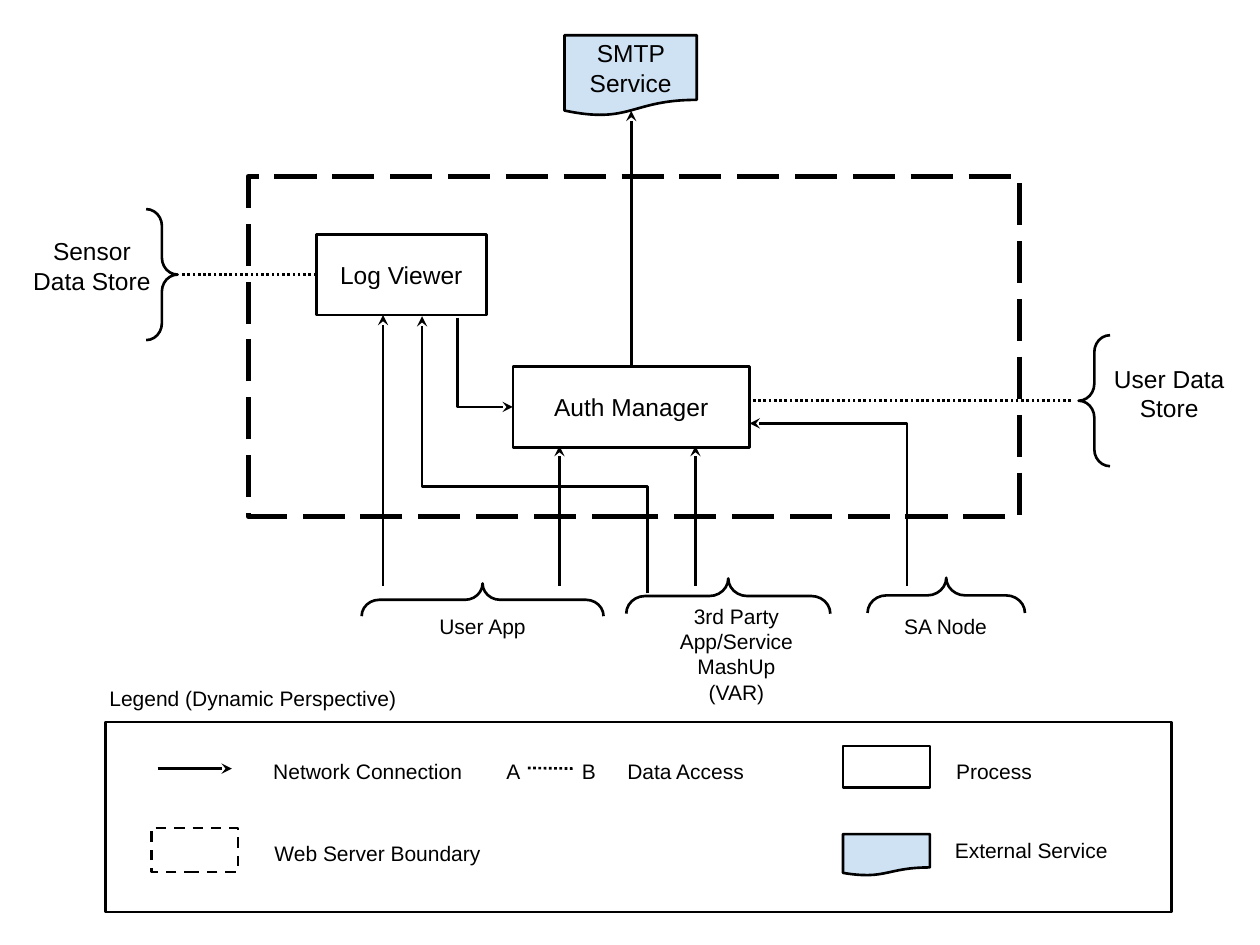
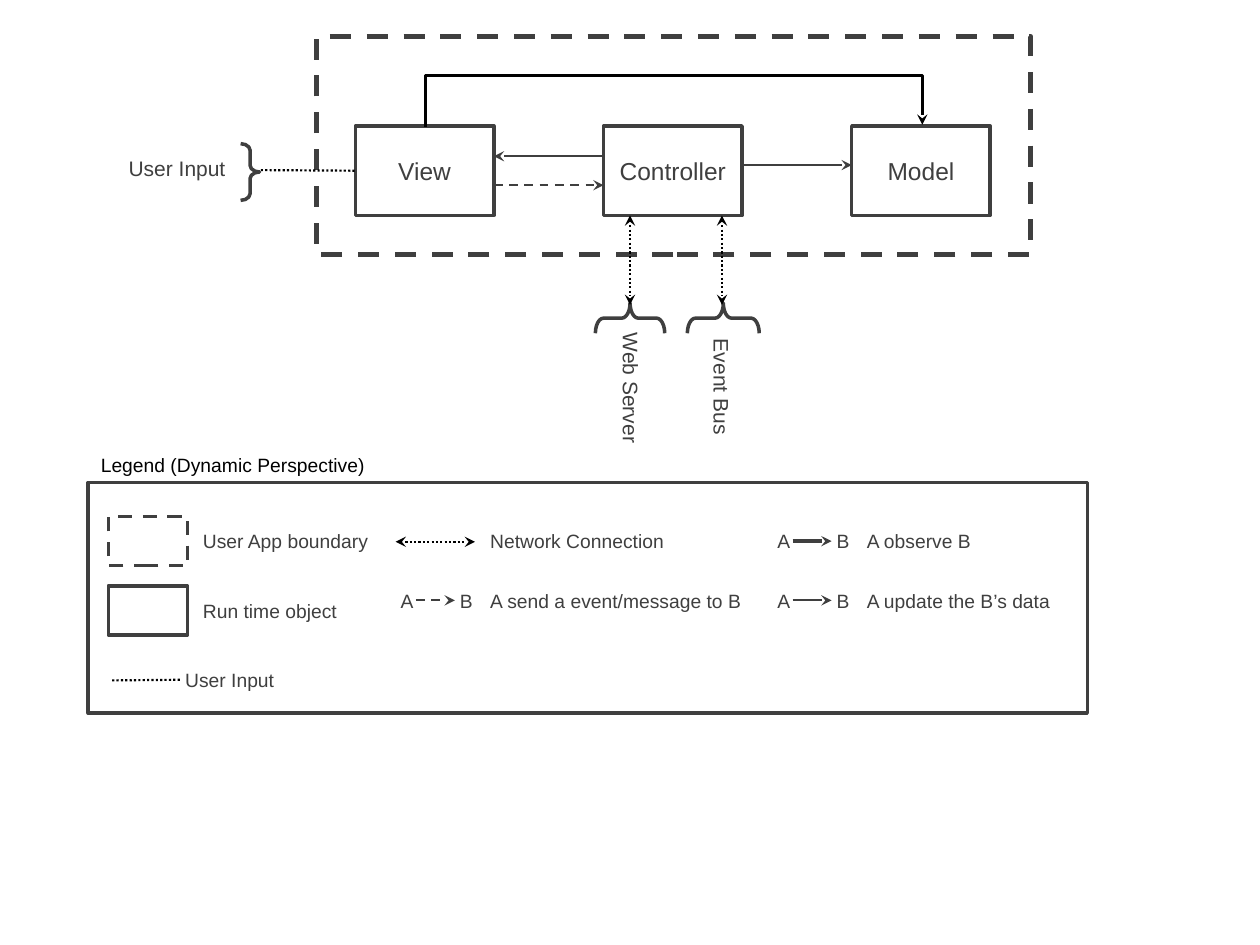
from lxml import etree
from pptx import Presentation
from pptx.dml.color import RGBColor
from pptx.enum.dml import MSO_LINE
from pptx.enum.shapes import MSO_CONNECTOR, MSO_SHAPE
from pptx.enum.text import MSO_ANCHOR, PP_ALIGN
from pptx.oxml.ns import qn
from pptx.util import Emu, Pt

PX = 9144
COLORS = {"black": "000000", "gray": "3F3F3F", "white": "FFFFFF", "sky": "CFE2F3"}
FONT = "Arial"
RECT, DOC = MSO_SHAPE.RECTANGLE, MSO_SHAPE.FLOWCHART_DOCUMENT
LEFT_BRACE, RIGHT_BRACE = MSO_SHAPE.LEFT_BRACE, MSO_SHAPE.RIGHT_BRACE
STRAIGHT, ELBOW = MSO_CONNECTOR.STRAIGHT, MSO_CONNECTOR.ELBOW
DASH, LONG_DASH, DOT = MSO_LINE.DASH, MSO_LINE.LONG_DASH, MSO_LINE.ROUND_DOT
LEFT, CENTER, RIGHT = PP_ALIGN.LEFT, PP_ALIGN.CENTER, PP_ALIGN.RIGHT
TOP, MIDDLE = MSO_ANCHOR.TOP, MSO_ANCHOR.MIDDLE
SIDE_TOP, SIDE_LEFT, SIDE_RIGHT = 0, 1, 3


def emu(*lengths):
    return [Emu(int(n * PX)) for n in lengths]


def rgb(name):
    return RGBColor.from_string(COLORS[name])


class Diagram:
    def __init__(self, prs, ink, inset, outline, stroke, brace_bend):
        self.slide = prs.slides.add_slide(prs.slide_layouts[6])
        self.shapes = self.slide.shapes
        self.ink, self.inset = ink, inset
        self.outline, self.stroke = outline, stroke
        self.brace_bend = brace_bend

    def put_text(self, sp, text, size, align, anchor, color=None):
        tf = sp.text_frame
        tf.word_wrap = True
        tf.vertical_anchor = anchor
        tf.margin_left, tf.margin_top, tf.margin_right, tf.margin_bottom = emu(*[self.inset] * 4)
        tf.text = text
        for p in tf.paragraphs:
            p.alignment = align
            for r in p.runs:
                r.font.name, r.font.size = FONT, Pt(size)
                r.font.color.rgb = rgb(color or self.ink)

    def pen(self, line, color, width, dash=None):
        line.color.rgb = rgb(color)
        line.width = Pt(width)
        if dash:
            line.dash_style = dash

    def box(self, at, text="", kind=RECT, fill="white", width=None, dash=None):
        sp = self.shapes.add_shape(kind, *emu(*at))
        sp.shadow.inherit = False
        if fill:
            sp.fill.solid()
            sp.fill.fore_color.rgb = rgb(fill)
        else:
            sp.fill.background()
        self.pen(sp.line, self.ink, width or self.outline, dash)
        if text:
            self.put_text(sp, text, 14, CENTER, MIDDLE)
        return sp

    def brace(self, at, kind=RIGHT_BRACE, rot=0):
        sp = self.box(at, kind=kind, fill=None)
        sp.adjustments[0] = self.brace_bend
        sp.rotation = rot

    def label(self, at, text, size, align=LEFT, anchor=MIDDLE, rot=0, color=None):
        sp = self.shapes.add_textbox(*emu(*at))
        sp.rotation = rot
        self.put_text(sp, text, size, align, anchor, color)
        return sp

    def finish(self, cxn, color, width, dash, ends):
        self.pen(cxn.line, color or self.ink, width or self.stroke, dash)
        sp_pr = cxn._element.spPr
        ln = sp_pr.find(qn("a:ln"))
        for end in ends:
            etree.SubElement(ln, qn(f"a:{end}End"), type="stealth")
        etree.SubElement(sp_pr, qn("a:effectLst"))

    def line(self, start, stop, ends=("tail",), dash=None, color=None, width=None,
             begin=None, end=None):
        cxn = self.shapes.add_connector(STRAIGHT, *emu(*start, *stop))
        if begin:
            cxn.begin_connect(*begin)
        if end:
            cxn.end_connect(*end)
        self.finish(cxn, color, width, dash, ends)

    def elbow(self, start, stop, bend=None, color=None, width=None):
        (x1, y1), (x2, y2) = start, stop
        cx, cy = (x1 + x2) / 2, (y1 + y2) / 2
        w, h = abs(y2 - y1), abs(x2 - x1)
        cxn = self.shapes.add_connector(
            ELBOW, *emu(cx - w / 2, cy - h / 2, cx + w / 2, cy + h / 2))
        leftward, upward = x2 < x1, y2 < y1
        xfrm = cxn._element.spPr.find(qn("a:xfrm"))
        xfrm.set("rot", str((90 if leftward else 270) * 60000))
        if leftward == upward:
            xfrm.set("flipH", "1")
        geom = cxn._element.spPr.find(qn("a:prstGeom"))
        if bend is None:
            geom.set("prst", "bentConnector2")
        else:
            ratio = round((bend - y1) / (y2 - y1) * 100000)
            etree.SubElement(geom.find(qn("a:avLst")), qn("a:gd"),
                             name="adj1", fmla=f"val {ratio}")
        self.finish(cxn, color, width, None, ("tail",))


def web_server(prs):
    d = Diagram(prs, "black", 10, 1.5, 1.5, 0.536)
    d.box((197, 140, 612, 270), fill=None, width=3, dash=LONG_DASH)
    auth = d.box((407, 291, 188, 64), "Auth Manager")
    log = d.box((251, 186, 135, 64), "Log Viewer")
    d.box((448, 28, 105, 64), "SMTP Service", DOC, "sky")

    for at, text, size in (
        ((266, 465, 234, 64), "User App", 12),
        ((528, 481, 113, 76), "3rd Party App/Service MashUp\n(VAR)", 12),
        ((698, 465, 105, 64), "SA Node", 12),
        ((16, 179, 114, 64), "Sensor Data Store", 14),
        ((871, 280, 114, 64), "User Data Store", 14),
    ):
        d.label(at, text, size, CENTER)
    for at, rot in (
        ((370, 380, 26, 192), 270),
        ((564, 392, 28, 162), 270),
        ((737, 410, 28, 125), 270),
        ((116, 166, 25, 104), 0),
        ((856, 266, 25, 104), 180),
    ):
        d.brace(at, rot=rot)

    for x, y in ((304, 250), (444, 354), (552, 354)):
        d.line((x, 465), (x, y))
    d.line((501, 291), (501, 88), begin=(auth, SIDE_TOP))
    d.line((251, 218), (144, 218), (), DOT, begin=(log, SIDE_LEFT))
    d.line((850, 318), (595, 318), (), DOT)
    d.elbow((720, 465), (595, 336))
    d.elbow((363, 252), (407, 323))
    d.elbow((514, 471), (335, 251), bend=386)

    d.box((84, 573, 846, 151), fill=None)
    d.box((669, 592, 69, 33))
    d.box((669, 662, 69, 33), kind=DOC, fill="sky")
    d.box((120, 657, 69, 35), dash=DASH)
    d.line((125, 610), (184, 610))
    for x, y, w, text in (
        (77, 534, 258, "Legend (Dynamic Perspective)"),
        (207, 592, 185, "Network Connection"),
        (208, 657, 185, "Web Server Boundary"),
        (452, 592, 27, "B"),
        (488, 592, 185, "Data Access"),
        (749, 592, 84, "Process"),
        (748, 655, 147, "External Service"),
    ):
        d.label((x, y, w, 35), text, 12, anchor=TOP)
    a = d.label((392, 592, 27, 35), "A", 12, anchor=TOP)
    d.line((419, 610), (456, 610), (), DOT, begin=(a, SIDE_RIGHT))


def user_app(prs):
    d = Diagram(prs, "gray", 4, 2, 1.25, 0.27)
    both = ("head", "tail")
    d.box((251, 29, 567, 173), fill=None, width=3, dash=DASH)
    view, _, _ = [d.box((282 + 197 * i, 100, 110, 71), name)
                  for i, name in enumerate(("View", "Controller", "Model"))]
    d.label((73, 114, 110, 39), "User Input", 12, RIGHT)
    d.label((446, 282, 110, 66), "Web Server", 12, rot=90)
    d.label((518, 287, 110, 66), "Event Bus", 12, rot=90)
    d.brace((488, 225, 24, 55), LEFT_BRACE, 90)
    d.brace((562, 224, 24, 57), LEFT_BRACE, 90)
    d.brace_bend = 0.351
    d.brace((191, 114, 15, 45))

    d.line((392, 147), (479, 147), dash=DASH)
    d.line((479, 124), (392, 124))
    d.line((589, 131), (676, 131))
    for x in (500, 573):
        d.line((x, 171), (x, 242), both, DOT, "black")
    d.line((207, 135), (282, 135), (), DOT, "black", end=(view, SIDE_LEFT))
    d.elbow((338, 101), (732, 99), bend=60, color="black", width=1.75)

    d.label((76, 354, 325, 29), "Legend (Dynamic Perspective)", 11, color="black")
    d.box((70, 383, 793, 183))
    d.box((86, 410, 63, 39), fill=None, dash=DASH)
    d.box((86, 465, 63, 39))
    for x, y, w, text in (
        (157, 410, 228, "User App boundary"),
        (157, 465, 228, "Run time object"),
        (385, 410, 228, "Network Connection"),
        (385, 457, 228, "A send a event/message to B"),
        (684, 410, 150, "A observe B"),
        (684, 457, 173, "A update the B’s data"),
    ):
        d.label((x, y, w, 39), text, 11)
    d.line((314, 430), (377, 430), both, DOT, "black")
    for x, y, width, dash in (
        (314, 457, 1.25, DASH), (613, 410, 2, None), (613, 457, 1.25, None),
    ):
        a = d.label((x, y, 16, 39), "A", 11, CENTER)
        b = d.label((x + 47, y, 16, 39), "B", 11, CENTER)
        d.line((x + 16, y + 20), (x + 47, y + 20), dash=dash, width=width,
               begin=(a, SIDE_RIGHT), end=(b, SIDE_LEFT))
    user_input = d.label((143, 520, 96, 39), "User Input", 11)
    d.line((89, 540), (143, 540), (), DOT, "black", end=(user_input, SIDE_LEFT))


def main():
    prs = Presentation()
    prs.slide_width, prs.slide_height = emu(1000, 750)
    web_server(prs)
    user_app(prs)
    prs.save("out.pptx")


if __name__ == "__main__":
    main()
